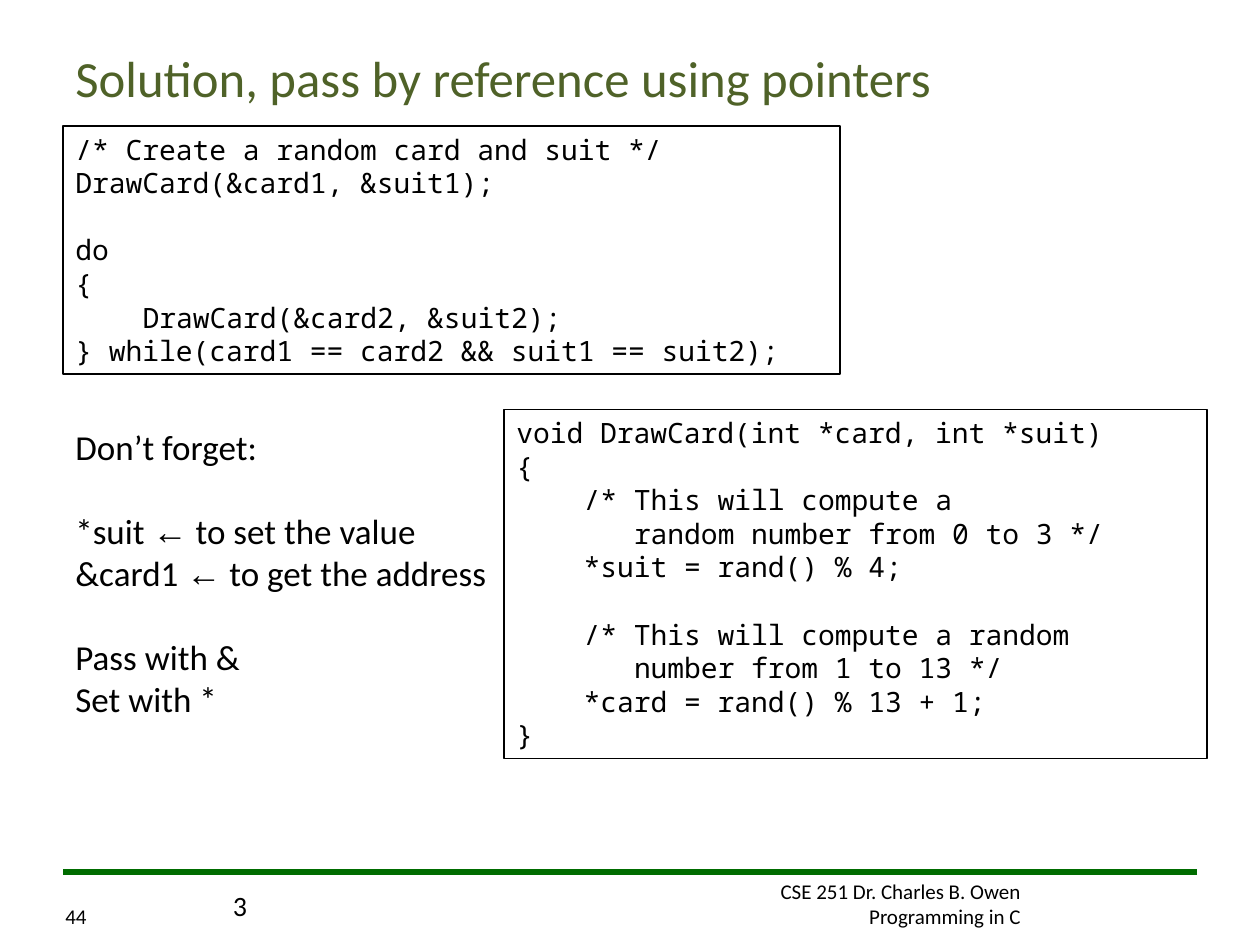
from dataclasses import dataclass

from lxml import etree
from pptx import Presentation
from pptx.dml.color import RGBColor
from pptx.enum.shapes import MSO_CONNECTOR, MSO_SHAPE
from pptx.enum.text import MSO_ANCHOR, PP_ALIGN
from pptx.oxml.ns import qn
from pptx.util import Inches, Pt

STRAIGHT = MSO_CONNECTOR.STRAIGHT
RECTANGLE = MSO_SHAPE.RECTANGLE
TOP, MIDDLE, BOTTOM = MSO_ANCHOR.TOP, MSO_ANCHOR.MIDDLE, MSO_ANCHOR.BOTTOM
LEFT, RIGHT = PP_ALIGN.LEFT, PP_ALIGN.RIGHT
BLANK_LAYOUT = 6


@dataclass(frozen=True)
class Theme:
    ink: RGBColor = RGBColor(0, 0, 0)
    paper: RGBColor = RGBColor(255, 255, 255)
    title: RGBColor = RGBColor(0x4F, 0x62, 0x28)
    rule: RGBColor = RGBColor(0, 0x6C, 0)
    body_font: str = "Calibri"
    code_font: str = "Noto Sans Mono"
    arrow_font: str = "Arial"
    title_size: int = 29
    note_size: int = 20
    code_size: int = 16
    footer_size: int = 12
    line_height: float = 1.2
    code_advance: float = 0.6


THEME = Theme()

CALL_CODE = """\
/* Create a random card and suit */
DrawCard(&card1, &suit1);

do
{
    DrawCard(&card2, &suit2);
} while(card1 == card2 && suit1 == suit2);"""

FUNCTION_CODE = """\
void DrawCard(int *card, int *suit)
{
    /* This will compute a
       random number from 0 to 3 */
    *suit = rand() % 4;

    /* This will compute a random
       number from 1 to 13 */
    *card = rand() % 13 + 1;
}"""

REMINDERS = """\
Don’t forget:

*suit ← to set the value
&card1 ← to get the address

Pass with &
Set with *"""


def add_span(para, text, size, color, font):
    span = para.add_run()
    span.text = text
    span.font.size = Pt(size)
    span.font.name = font
    span.font.color.rgb = color


def write_text(shape, text, size, color=THEME.ink, font=THEME.body_font,
               align=LEFT, anchor=TOP):
    """Write lines; empty ones become spacing, leading spaces a margin."""
    frame = shape.text_frame
    frame.word_wrap = True
    frame.vertical_anchor = anchor
    para, gap = frame.paragraphs[0], 0
    for number, line in enumerate(text.split("\n")):
        if not line:
            gap += size * THEME.line_height
            continue
        if number:
            para = frame.add_paragraph()
        para.alignment = align
        para.space_before = Pt(gap)
        gap = 0
        words = line.lstrip()
        indent = (len(line) - len(words)) * size * THEME.code_advance
        if indent:
            properties = para._p.get_or_add_pPr()
            properties.set("marL", str(Pt(indent)))
            properties.set("indent", "0")
        before, arrow, after = words.partition("←")
        for part, part_font in ((before, font), (arrow, THEME.arrow_font), (after, font)):
            if part:
                add_span(para, part, size, color, part_font)


def add_text(page, box, text, size, **text_format):
    shape = page.shapes.add_textbox(*map(Inches, box))
    write_text(shape, text, size, **text_format)


def add_code_panel(page, box, code):
    panel = page.shapes.add_shape(RECTANGLE, *map(Inches, box))
    panel.shadow.inherit = False
    panel.fill.solid()
    panel.fill.fore_color.rgb = THEME.paper
    panel.line.color.rgb = THEME.ink
    panel.line.width = Pt(1)
    write_text(panel, code, THEME.code_size, font=THEME.code_font)


def add_footer(page, box):
    left, top, width, height = box
    rule = page.shapes.add_connector(STRAIGHT, Inches(left + width), Inches(top),
                                     Inches(left), Inches(top))
    rule.line.color.rgb = THEME.rule
    rule.line.width = Pt(3)
    etree.SubElement(rule._element.spPr, qn("a:effectLst"))
    add_text(page, (left + 4.33, top, 3.37, height),
             "CSE 251 Dr. Charles B. Owen\nProgramming in C",
             THEME.footer_size, align=RIGHT)
    add_text(page, (left - 0.08, top, 0.4, height), "44",
             THEME.footer_size, anchor=BOTTOM)
    add_text(page, (left + 1.25, top + 0.08, 0.32, 0.37), "3", THEME.code_size)


def main():
    deck = Presentation()
    deck.slide_width, deck.slide_height = Inches(10), Inches(7.5)
    page = deck.slides.add_slide(deck.slide_layouts[BLANK_LAYOUT])

    # Footer
    add_footer(page, (0.5, 6.92, 9, 0.5))
    # Title
    add_text(page, (0.5, 0.3, 9, 0.62), "Solution, pass by reference using pointers",
             THEME.title_size, color=THEME.title, anchor=MIDDLE)
    # Calling code, function and reminders
    add_code_panel(page, (0.5, 1, 6.17, 1.97), CALL_CODE)
    add_code_panel(page, (4, 3.25, 5.58, 2.77), FUNCTION_CODE)
    add_text(page, (0.5, 3.33, 3.5, 2.44), REMINDERS, THEME.note_size)

    deck.save("out.pptx")


if __name__ == "__main__":
    main()
